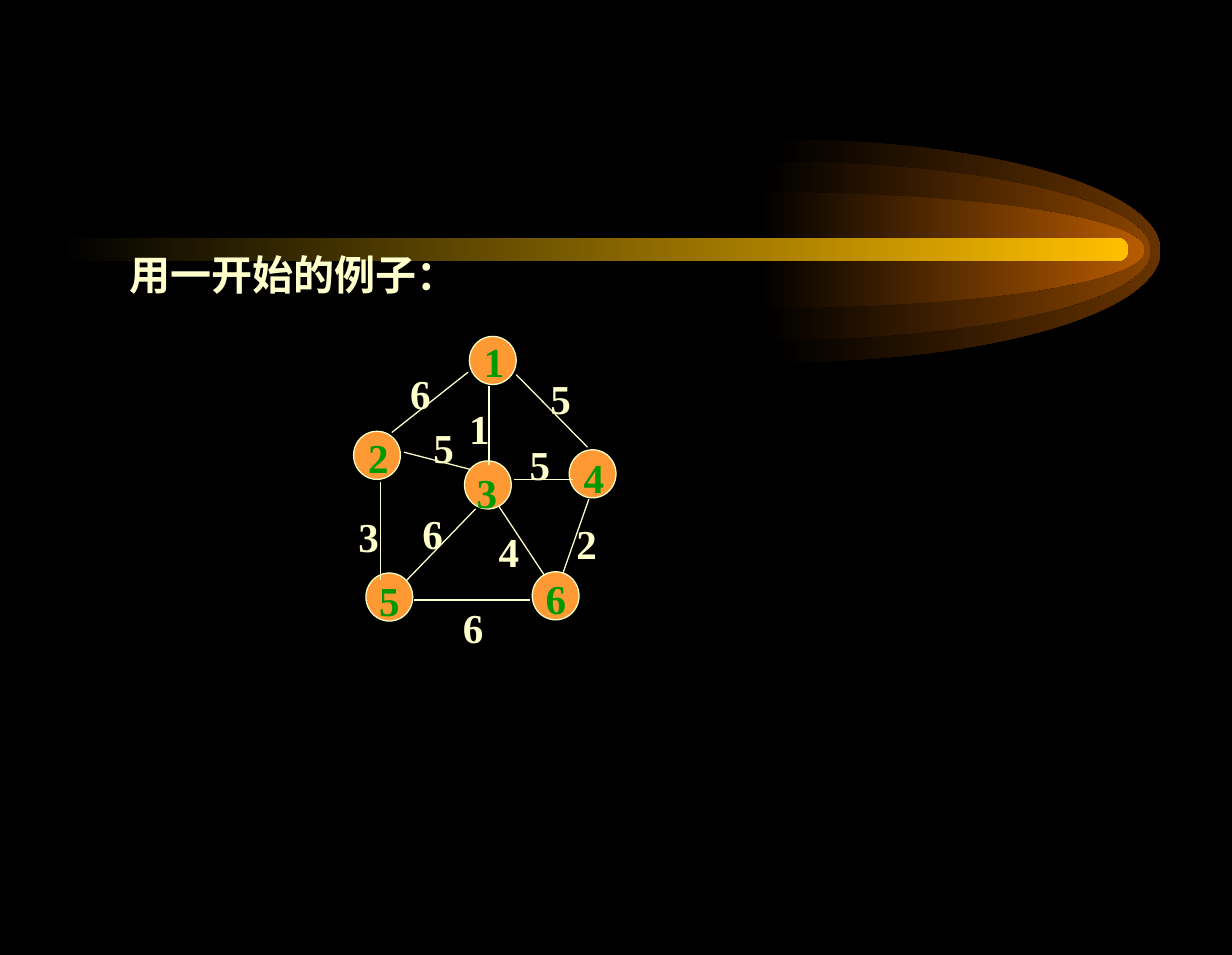
from dataclasses import dataclass

import pptx
import pptx.dml.color
import pptx.enum.shapes
import pptx.enum.text
import pptx.oxml.ns
import pptx.util
from lxml import etree
from pptx.util import Inches

RGB = pptx.dml.color.RGBColor
BLACK = RGB(0x00, 0x00, 0x00)
CREAM = RGB(0xFF, 0xFF, 0xCC)
ORANGE = RGB(0xFF, 0x99, 0x33)
GREEN = RGB(0x00, 0x99, 0x00)
GOLD = RGB(0xFF, 0xBF, 0x00)
TAIL_BROWN = RGB(0x66, 0x33, 0x00)
MID_BROWN = RGB(0x89, 0x44, 0x00)
CORE_BROWN = RGB(0xB7, 0x5B, 0x00)

FONT = "Times New Roman"
NODE_WIDTH, NODE_HEIGHT = 0.38, 0.39
LABEL_WIDTH, LABEL_HEIGHT = 0.36, 0.5
GLOW_LENGTH = 3.13
# Right half of an ellipse: start, two cubic curves, as shares of the box
HALF_ELLIPSE = [(0, 0), (0.55, 0), (1, 0.22), (1, 0.5),
                (1, 0.78), (0.55, 1), (0, 1)]


@dataclass(frozen=True)
class Glow:
    left: float
    top: float
    height: float
    color: RGB


@dataclass(frozen=True)
class Node:
    number: str
    left: float
    top: float
    label_left: float
    label_top: float


@dataclass(frozen=True)
class Edge:
    weight: str
    start: tuple[float, float]
    end: tuple[float, float]
    label_left: float
    label_top: float


GLOWS = [
    Glow(6.29, 1.13, 1.81, TAIL_BROWN),
    Glow(6.21, 1.31, 1.45, MID_BROWN),
    Glow(6.16, 1.56, 0.94, CORE_BROWN),
]
NODES = [
    Node("1", 3.81, 2.73, 3.83, 2.68),
    Node("2", 2.87, 3.50, 2.89, 3.46),
    Node("3", 3.77, 3.74, 3.77, 3.74),
    Node("4", 4.62, 3.65, 4.64, 3.62),
    Node("5", 2.97, 4.65, 2.98, 4.62),
    Node("6", 4.32, 4.64, 4.33, 4.60),
]
EDGES = [
    Edge("6", (3.18, 3.51), (3.80, 3.02), 3.23, 2.94),
    Edge("3", (3.09, 3.91), (3.09, 4.71), 2.81, 4.10),
    Edge("5", (3.28, 3.67), (3.82, 3.81), 3.42, 3.38),
    Edge("1", (3.97, 3.13), (3.97, 3.77), 3.71, 3.22),
    Edge("5", (4.17, 3.89), (4.65, 3.89), 4.20, 3.52),
    Edge("4", (4.05, 4.11), (4.42, 4.67), 3.95, 4.22),
    Edge("6", (3.86, 4.13), (3.30, 4.71), 3.33, 4.08),
    Edge("5", (4.19, 3.04), (4.77, 3.63), 4.37, 2.98),
    Edge("6", (3.36, 4.87), (4.30, 4.87), 3.66, 4.84),
    Edge("2", (4.78, 4.05), (4.57, 4.65), 4.58, 4.16),
]


def write_text(shape, text: str, *, color: RGB,
               align=pptx.enum.text.PP_ALIGN.CENTER, size: float = 24) -> None:
    frame = shape.text_frame
    frame.word_wrap = False
    frame.auto_size = pptx.enum.text.MSO_AUTO_SIZE.SHAPE_TO_FIT_TEXT
    frame.vertical_anchor = pptx.enum.text.MSO_ANCHOR.MIDDLE
    frame.text = text
    paragraph = frame.paragraphs[0]
    paragraph.alignment = align
    font = paragraph.runs[0].font
    font.name, font.size, font.bold = FONT, pptx.util.Pt(size), True
    font.color.rgb = color


def fade_from_black(shape, color: RGB) -> None:
    shape.shadow.inherit = False
    shape.line.fill.background()
    shape.fill.gradient()
    shape.fill.gradient_angle = 0
    for stop, stop_color, position in zip(
            shape.fill.gradient_stops, (BLACK, color), (0, 1)):
        stop.color.rgb = stop_color
        stop.position = position


def bend_segments(shape) -> None:
    """Turn each three line segments of the outline into one cubic curve."""
    qn = pptx.oxml.ns.qn
    segments = list(shape._element.iter(qn("a:lnTo")))
    for first in range(0, len(segments), 3):
        curve = etree.Element(qn("a:cubicBezTo"))
        segments[first].addprevious(curve)
        for segment in segments[first:first + 3]:
            curve.append(segment[0])
            segment.getparent().remove(segment)


def draw_glow(slide, glow: Glow) -> None:
    points = [(Inches(glow.left + GLOW_LENGTH * x), Inches(glow.top + glow.height * y))
              for x, y in HALF_ELLIPSE]
    outline = slide.shapes.build_freeform(*points[0])
    outline.add_line_segments(points[1:], close=True)
    half_ellipse = outline.convert_to_shape()
    bend_segments(half_ellipse)
    fade_from_black(half_ellipse, glow.color)


def draw_node(slide, node: Node) -> None:
    circle = slide.shapes.add_shape(
        pptx.enum.shapes.MSO_SHAPE.OVAL, Inches(node.left), Inches(node.top),
        Inches(NODE_WIDTH), Inches(NODE_HEIGHT))
    circle.shadow.inherit = False
    circle.fill.solid()
    circle.fill.fore_color.rgb = ORANGE
    circle.line.color.rgb = CREAM
    circle.line.width = pptx.util.Pt(0.75)


def draw_edge(slide, edge: Edge) -> None:
    link = slide.shapes.add_connector(
        pptx.enum.shapes.MSO_CONNECTOR.STRAIGHT,
        *(Inches(value) for value in edge.start + edge.end))
    link.line.color.rgb = CREAM
    link.line.width = pptx.util.Pt(0.75)
    etree.SubElement(link._element.spPr, pptx.oxml.ns.qn("a:effectLst"))


def draw_label(slide, text: str, left: float, top: float, color: RGB) -> None:
    label = slide.shapes.add_textbox(
        Inches(left), Inches(top), Inches(LABEL_WIDTH), Inches(LABEL_HEIGHT))
    write_text(label, text, color=color)


def main() -> None:
    deck = pptx.Presentation()
    deck.slide_width, deck.slide_height = Inches(10), Inches(7.75)
    slide = deck.slides.add_slide(deck.slide_layouts.get_by_name("Title Only"))
    slide.background.fill.solid()
    slide.background.fill.fore_color.rgb = BLACK

    # Comet
    for glow in GLOWS:
        draw_glow(slide, glow)
    beam = slide.shapes.add_shape(
        pptx.enum.shapes.MSO_SHAPE.ROUNDED_RECTANGLE,
        Inches(0.5), Inches(1.93), Inches(8.66), Inches(0.19))
    beam.adjustments[0] = 0.5
    fade_from_black(beam, GOLD)

    # Title, in front of the comet
    heading = slide.shapes.title
    heading.left, heading.top = Inches(0.95), Inches(1.97)
    heading.width, heading.height = Inches(2.86), Inches(0.5)
    write_text(heading, "用一开始的例子：", color=CREAM,
               align=pptx.enum.text.PP_ALIGN.LEFT)
    slide.shapes._spTree.append(heading._element)

    # Weighted graph
    for node in NODES:
        draw_node(slide, node)
    for edge in EDGES:
        draw_edge(slide, edge)
    for node in NODES:
        draw_label(slide, node.number, node.label_left, node.label_top, GREEN)
    for edge in EDGES:
        draw_label(slide, edge.weight, edge.label_left, edge.label_top, CREAM)

    deck.save("out.pptx")


if __name__ == "__main__":
    main()
